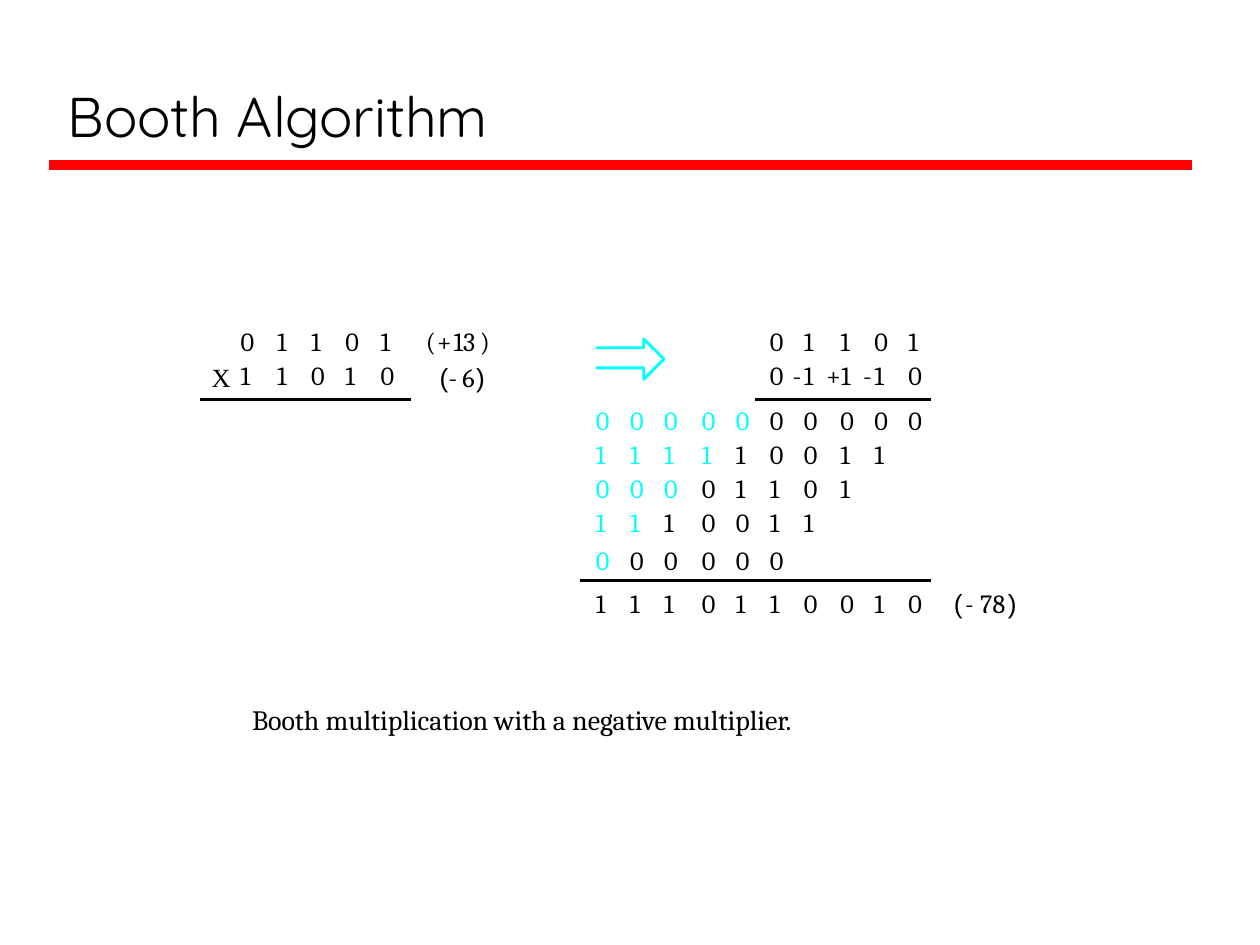
import itertools
from dataclasses import dataclass

import pptx
import pptx.dml.color
import pptx.enum.shapes
import pptx.enum.text
import pptx.util
from lxml import etree

COLORS = {"ink": "000000", "sign": "00FFFF", "rule": "FF0000"}
W, H = pptx.util.Inches(10), pptx.util.Inches(7.5)
LEFT = tuple(itertools.accumulate((19.1, 2.9, 2.7, 2.7, 2.8)))
RIGHT = tuple(itertools.accumulate((47.3, 2.7, 2.7, 3, 2.7, 2.7, 2.7, 2.9, 2.7, 2.7)))
TOP, RECODED, RESULT = 34.4, 38, 62.13
DIGIT, MARK, LINE = 1.2, 0.7, 3.33


@dataclass(frozen=True)
class DigitRow:
    digits: str
    columns: tuple[float, ...]
    y: float
    extended: int = 0


@dataclass(frozen=True)
class Label:
    text: str
    x: float
    y: float
    w: float = DIGIT
    h: float = LINE
    font: str = "Cambria"
    size: int = 15
    color: str = "ink"


@dataclass(frozen=True)
class Rule:
    x1: float
    x2: float
    y: float
    width: float = 1.63
    color: str = "ink"


ROWS = (
    DigitRow("01101", LEFT, TOP),
    DigitRow("11010", LEFT, RECODED),
    DigitRow("01101", RIGHT[5:], TOP),
    DigitRow("01 10", RIGHT[5:], RECODED),
    DigitRow("0000000000", RIGHT, 42.8, 5),
    DigitRow("111110011", RIGHT, 46.4, 4),
    DigitRow("00001101", RIGHT, 50, 3),
    DigitRow("1110011", RIGHT, 53.6, 2),
    DigitRow("000000", RIGHT, 57.6, 1),
    DigitRow("1110110010", RIGHT, RESULT),
)
LABELS = (
    Label("Booth multiplication with a negative multiplier.", 20, 74.4, 45.1, 3.6, size=16),
    Label("X", 16.8, 38.27, 1.5, font="Times New Roman"),
    Label("(", 33.8, TOP, MARK),
    Label("+", 34.7, TOP),
    Label("13", 36, TOP, 2.3),
    Label(")", 38.1, TOP, MARK),
    Label("(", 34.9, 38.27, MARK, font="Arial"),
    Label("-", 35.6, 38.27, MARK),
    Label("6", 36.7, 38.27),
    Label(")", 37.8, 38.27, MARK, font="Arial"),
    Label("-", 62.9, RECODED, MARK),
    Label("+1", 65.6, RECODED, 2.4),
    Label("-", 68.5, RECODED, MARK),
    Label("(", 75.7, RESULT, MARK, font="Arial"),
    Label("-", 76.6, RESULT, MARK),
    Label("78", 77.8, RESULT, 2.3),
    Label(")", 80, RESULT, MARK, font="Arial"),
)
RULES = (
    Rule(3.9, 94.6, 17.47, 6, "rule"),
    Rule(15.9, 32.6, 42.27),
    Rule(59.9, 73.9, 42.27),
    Rule(46, 73.9, 61.47),
)
TITLE = Label("Booth Algorithm", 4.4, 2.27, 89.7, 14.13, "Quicksand", 32)
ARROW = ((47.3, 36.8), (51.1, 36.8), (51.1, 35.87), (52.7, 38),
         (51.1, 40.13), (51.1, 38.93), (47.3, 38.93))


def px(share: float) -> int:
    return round(W * share / 100)


def py(share: float) -> int:
    return round(H * share / 100)


def rgb(name: str) -> pptx.dml.color.RGBColor:
    return pptx.dml.color.RGBColor.from_string(COLORS[name])


def add_text(s: pptx.slide.Slide, label: Label) -> pptx.text.text.TextFrame:
    sp = s.shapes.add_textbox(px(label.x), py(label.y), px(label.w), py(label.h))
    tf = sp.text_frame
    p = tf.paragraphs[0]
    p.text = label.text
    p.font.name = label.font
    p.font.size = pptx.util.Pt(label.size)
    p.font.color.rgb = rgb(label.color)
    return tf


def add_label(s: pptx.slide.Slide, label: Label) -> None:
    tf = add_text(s, label)
    tf.margin_left = tf.margin_right = tf.margin_top = tf.margin_bottom = 0
    tf.word_wrap = False
    tf.auto_size = pptx.enum.text.MSO_AUTO_SIZE.SHAPE_TO_FIT_TEXT


def add_title(s: pptx.slide.Slide) -> None:
    tf = add_text(s, TITLE)
    tf.word_wrap = True
    tf.vertical_anchor = pptx.enum.text.MSO_ANCHOR.BOTTOM


def add_digits(s: pptx.slide.Slide, row: DigitRow) -> None:
    for i, (digit, x) in enumerate(zip(row.digits, row.columns)):
        if digit != " ":
            color = "sign" if i < row.extended else "ink"
            add_label(s, Label(digit, x, row.y, color=color))


def add_rule(s: pptx.slide.Slide, rule: Rule) -> None:
    sp = s.shapes.add_connector(pptx.enum.shapes.MSO_CONNECTOR.STRAIGHT,
                                px(rule.x1), py(rule.y), px(rule.x2), py(rule.y))
    sp.line.color.rgb = rgb(rule.color)
    sp.line.width = pptx.util.Pt(rule.width)
    etree.SubElement(sp._element.spPr, pptx.oxml.ns.qn("a:effectLst"))


def add_arrow(s: pptx.slide.Slide) -> None:
    start, *points = [(px(x), py(y)) for x, y in ARROW]
    builder = s.shapes.build_freeform(*start)
    builder.add_line_segments(points, close=False)
    sp = builder.convert_to_shape()
    sp.shadow.inherit = False
    sp.fill.background()
    sp.line.color.rgb = rgb("sign")
    sp.line.width = pptx.util.Pt(1.63)


def main() -> None:
    prs = pptx.Presentation()
    prs.slide_width, prs.slide_height = W, H
    s = prs.slides.add_slide(prs.slide_layouts[6])
    add_title(s)
    for rule in RULES:
        add_rule(s, rule)
    for row in ROWS:
        add_digits(s, row)
    for label in LABELS:
        add_label(s, label)
    add_arrow(s)
    prs.save("out.pptx")


if __name__ == "__main__":
    main()
